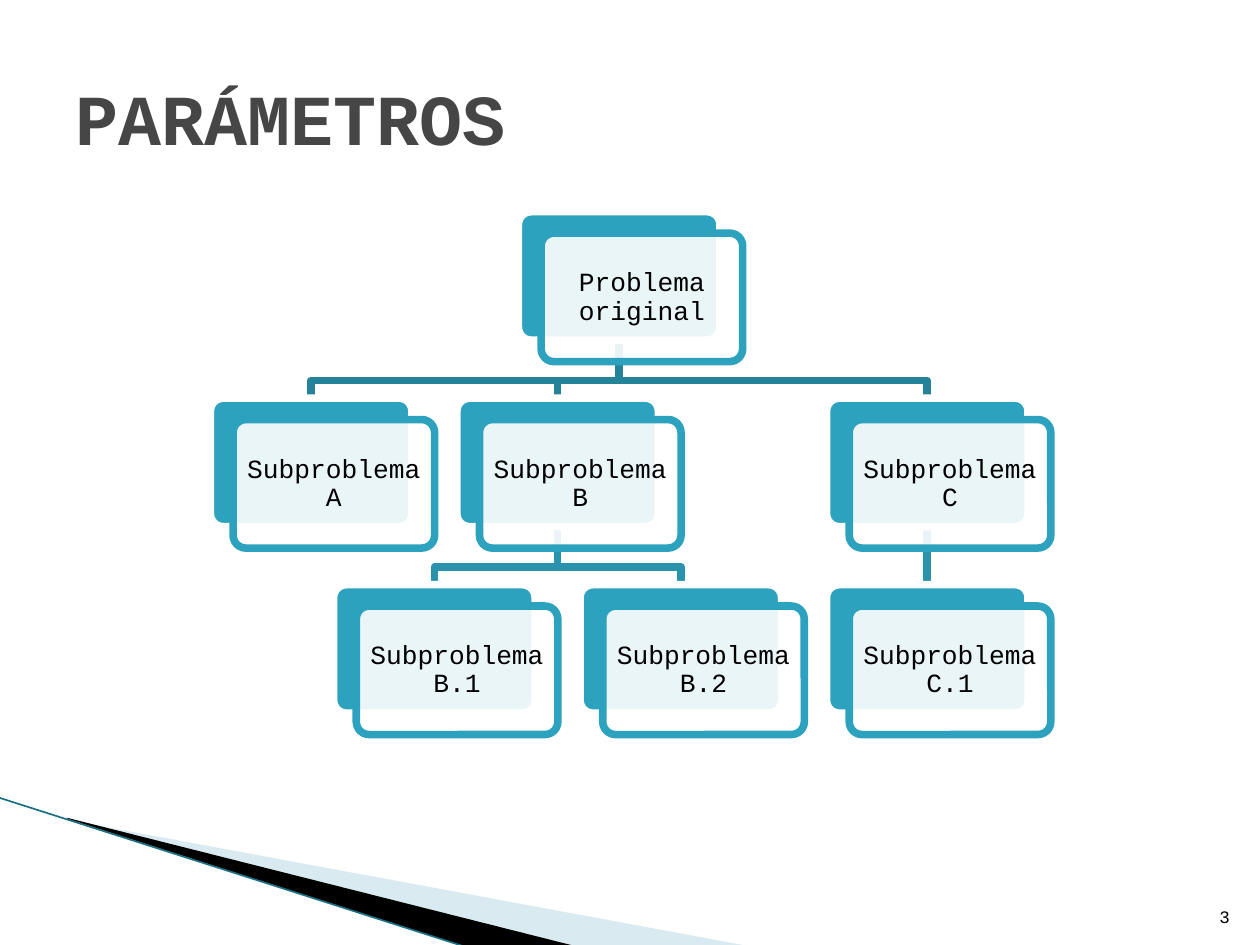
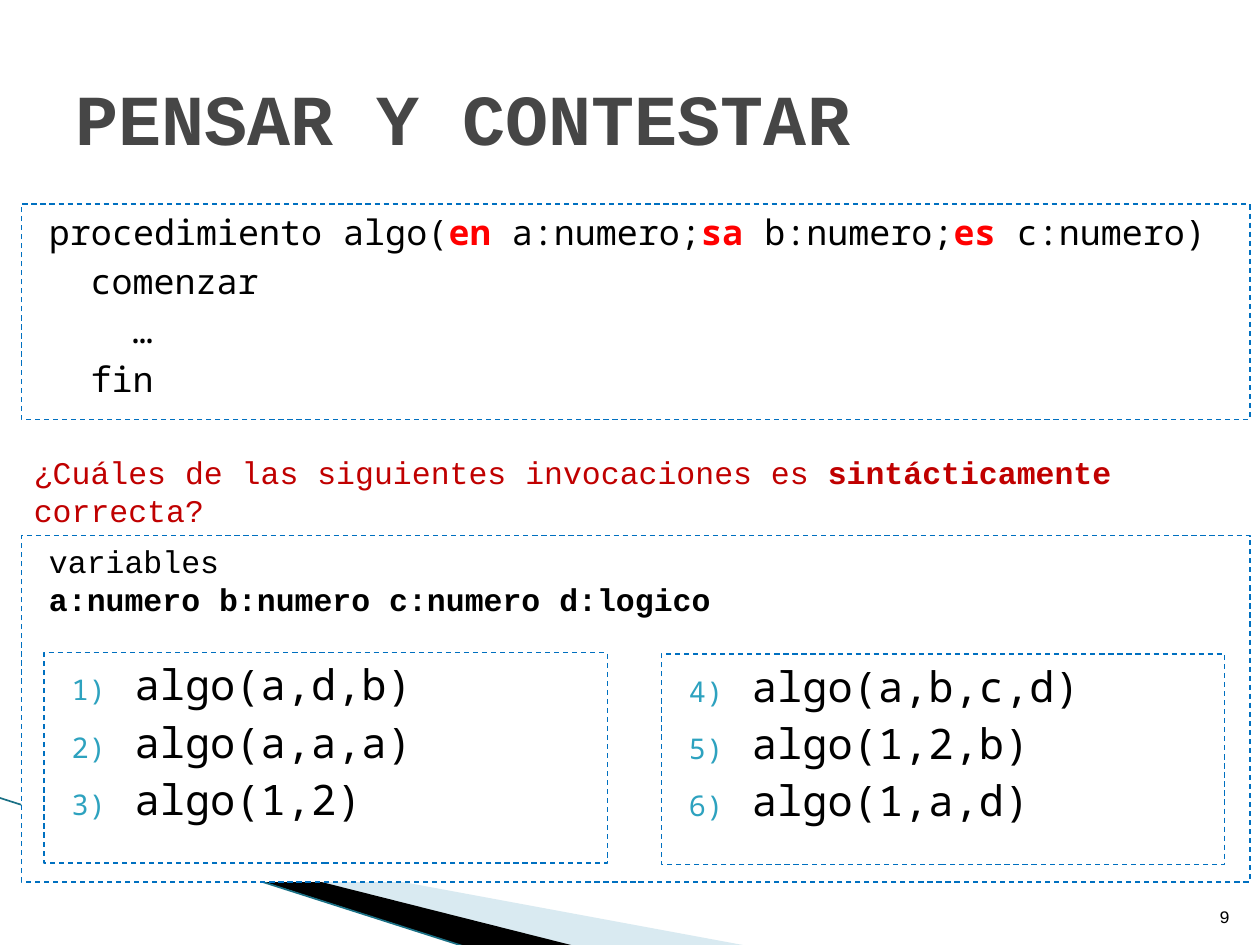
from lxml import etree
from pptx import Presentation
from pptx.dml.color import RGBColor
from pptx.enum.dml import MSO_LINE
from pptx.enum.shapes import MSO_CONNECTOR, MSO_SHAPE
from pptx.enum.text import MSO_ANCHOR, PP_ALIGN
from pptx.oxml.ns import qn
from pptx.util import Inches, Pt

RECT, ROUNDED = MSO_SHAPE.RECTANGLE, MSO_SHAPE.ROUNDED_RECTANGLE
TOP, MIDDLE, BOTTOM = MSO_ANCHOR.TOP, MSO_ANCHOR.MIDDLE, MSO_ANCHOR.BOTTOM
LEFT, CENTER, RIGHT = PP_ALIGN.LEFT, PP_ALIGN.CENTER, PP_ALIGN.RIGHT

# Content: a paragraph is a string or a list of (text, emphasis) runs
TREE_TITLE, TREE_PAGE = "PARÁMETROS", "3"
NODES = {  # name: (half-columns from the left, level, parent)
    "Problema original": (2.5, 0, None),
    "Subproblema A": (0, 1, "Problema original"),
    "Subproblema B": (2, 1, "Problema original"),
    "Subproblema B.1": (1, 2, "Subproblema B"),
    "Subproblema B.2": (3, 2, "Subproblema B"),
    "Subproblema C": (5, 1, "Problema original"),
    "Subproblema C.1": (5, 2, "Subproblema C"),
}

QUIZ_TITLE, QUIZ_PAGE = "PENSAR Y CONTESTAR", "9"
PROCEDURE = [  # (nesting depth, paragraph)
    (0, [("procedimiento algo(", None), ("en", "keyword"), (" a:numero;", None),
         ("sa", "keyword"), (" b:numero;", None), ("es", "keyword"),
         (" c:numero)", None)]),
    (1, "comenzar"),
    (2, "…"),
    (1, "fin"),
]
QUESTION = [("¿Cuáles de las siguientes invocaciones es ", None),
            ("sintácticamente", "strong"), (" correcta?", None)]
VARIABLES = ["variables", [("a:numero b:numero c:numero d:logico", "strong")]]
OPTIONS = [  # (left, top, first number, calls)
    (0.35, 5.18, 1, ["algo(a,d,b)", "algo(a,a,a)", "algo(1,2)"]),
    (5.25, 5.19, 4, ["algo(a,b,c,d)", "algo(1,2,b)", "algo(1,a,d)"]),
]


class Theme:
    text_font, code_font = "Courier New", "Noto Sans Mono"
    black, white, title = "000000", "FFFFFF", "464646"
    teal, root_link, link = "2DA2BF", "248299", "2993AD"
    band, band_edge = "A0CBDC", "1A7085"
    frame, keyword, question = "0070C0", "FF0000", "C00000"
    title_pt, option_pt, code_pt, body_pt, node_pt, page_pt = 41, 24, 20, 18, 15, 10
    node_line, frame_line, edge_line = 4.33, 0.75, 0.95


# Tree grid
NODE_W, NODE_H = 1.6, 1.02
TREE_LEFT, TREE_TOP = 1.67, 1.68
HALF_COL, ROW = 4.89 / 5, 1.48
FRAME_DX, FRAME_DY = 0.18, 0.17
ELBOW = 0.32
CODE_INDENT = 0.33


# Drawing helpers
def rgb(color):
    return RGBColor.from_string(color)


def paint(shape, fill=None, line=None, width=1, alpha=None):
    shape.shadow.inherit = False
    if fill:
        shape.fill.solid()
        shape.fill.fore_color.rgb = rgb(fill)
        if alpha:
            clr = shape.fill._xPr.find(".//" + qn("a:srgbClr"))
            etree.SubElement(clr, qn("a:alpha"), val=str(alpha * 1000))
    else:
        shape.fill.background()
    if line:
        shape.line.color.rgb = rgb(line)
        shape.line.width = Pt(width)
    else:
        shape.line.fill.background()


def add_box(s, kind, x, y, w, h, **style):
    sp = s.shapes.add_shape(kind, Inches(x), Inches(y), Inches(w), Inches(h))
    paint(sp, **style)
    return sp


def add_frame(s, x, y, w, h, fill=None):
    sp = add_box(s, RECT, x, y, w, h, fill=fill, line=Theme.frame,
                 width=Theme.frame_line)
    sp.line.dash_style = MSO_LINE.DASH
    return sp


def add_outline(s, points, close, **style):
    pts = [(Inches(x), Inches(y)) for x, y in points]
    builder = s.shapes.build_freeform(*pts[0])
    builder.add_line_segments(pts[1:], close=close)
    paint(builder.convert_to_shape(), **style)


def write(sp, paragraphs, size, color=Theme.black, font=Theme.text_font,
          align=LEFT, anchor=TOP, bold=False):
    tf = sp.text_frame
    tf.word_wrap = True
    tf.vertical_anchor = anchor
    for i, runs in enumerate(paragraphs):
        p = tf.add_paragraph() if i else tf.paragraphs[0]
        p.alignment = align
        p.font.name, p.font.size, p.font.bold = font, Pt(size), bold
        p.font.color.rgb = rgb(color)
        for text, emphasis in [(runs, None)] if isinstance(runs, str) else runs:
            r = p.add_run()
            r.text = text
            if emphasis:
                r.font.bold = True
            if emphasis == "keyword":
                r.font.color.rgb = rgb(Theme.keyword)
    return tf


def add_text(s, x, y, w, h, paragraphs, size, **style):
    tb = s.shapes.add_textbox(Inches(x), Inches(y), Inches(w), Inches(h))
    return write(tb, paragraphs, size, **style)


def indent(p, left, first=0):
    pPr = p._p.get_or_add_pPr()
    pPr.set("marL", str(Inches(left)))
    pPr.set("indent", str(Inches(first)))
    return pPr


def number(p, start):
    pPr = indent(p, 0.62, -0.5)
    color = etree.Element(qn("a:buClr"))
    etree.SubElement(color, qn("a:srgbClr"), val=Theme.teal)
    size = etree.Element(qn("a:buSzPct"), val="68000")
    auto = etree.Element(qn("a:buAutoNum"), type="arabicParenR", startAt=str(start))
    for mark in (color, size, auto):
        pPr.find(qn("a:defRPr")).addprevious(mark)


# Shared slide parts
def add_slide(prs, title, page):
    s = prs.slides.add_slide(prs.slide_layouts[6])
    add_outline(s, [(0.55, 6.51), (5.95, 7.51), (4.56, 7.51), (0.55, 6.5)], True,
                fill=Theme.band, alpha=40)
    add_outline(s, [(0.53, 6.49), (4.57, 7.51), (3.72, 7.52), (0.54, 6.5)], True,
                fill=Theme.black)
    edge = s.shapes.add_connector(MSO_CONNECTOR.STRAIGHT, Inches(-0.01), Inches(6.33),
                                  Inches(3.71), Inches(7.52))
    edge.line.color.rgb = rgb(Theme.band_edge)
    edge.line.width = Pt(Theme.edge_line)
    etree.SubElement(edge._element.spPr, qn("a:effectLst"))
    add_text(s, 9.46, 7.01, 0.4, 0.4, [page], Theme.page_pt, align=RIGHT, anchor=BOTTOM)
    add_text(s, 0.5, 0.3, 9, 1.25, [title], Theme.title_pt, color=Theme.title,
             anchor=MIDDLE, bold=True)
    return s


# Problem tree
def node_corner(name):
    col, level, _ = NODES[name]
    return TREE_LEFT + col * HALF_COL, TREE_TOP + level * ROW


def add_link(s, parent, child):
    (px, py), (cx, cy) = node_corner(parent), node_corner(child)
    px, cx, py = px + NODE_W / 2, cx + NODE_W / 2, py + NODE_H
    bend = py + ELBOW
    color = Theme.link if NODES[parent][1] else Theme.root_link
    points = [(px, py), (px, bend), (cx, bend), (cx, cy)]
    if px == cx:
        points = [points[0], points[-1]]
    add_outline(s, points, False, line=color, width=Theme.node_line)


def add_node(s, name):
    x, y = node_corner(name)
    back = add_box(s, ROUNDED, x, y, NODE_W, NODE_H, fill=Theme.teal,
                   line=Theme.white, width=Theme.node_line)
    front = add_box(s, ROUNDED, x + FRAME_DX, y + FRAME_DY, NODE_W, NODE_H,
                    fill=Theme.white, alpha=90, line=Theme.teal, width=Theme.node_line)
    back.adjustments[0] = front.adjustments[0] = 0.1
    tf = write(front, [name], Theme.node_pt, align=CENTER, anchor=MIDDLE)
    tf.margin_left = tf.margin_right = tf.margin_top = tf.margin_bottom = Inches(0.06)
    tf.paragraphs[0].line_spacing = 0.9


def build_tree(prs):
    s = add_slide(prs, TREE_TITLE, TREE_PAGE)
    for name, (_, _, parent) in NODES.items():
        if parent:
            add_link(s, parent, name)
    for name in NODES:
        add_node(s, name)


# Quiz
def build_quiz(prs):
    s = add_slide(prs, QUIZ_TITLE, QUIZ_PAGE)

    # Procedure heading
    tf = write(add_frame(s, 0.17, 1.62, 9.75, 1.71), [text for _, text in PROCEDURE],
               Theme.code_pt, font=Theme.code_font)
    for p, (depth, _) in zip(tf.paragraphs, PROCEDURE):
        p.space_before = Pt(4)
        indent(p, 0.12 + depth * CODE_INDENT)

    # Declared variables and question
    tf = write(add_frame(s, 0.17, 4.25, 9.75, 2.75, fill=Theme.white), VARIABLES,
               Theme.body_pt)
    tf.paragraphs[0].space_before = Pt(4)
    for p in tf.paragraphs:
        indent(p, 0.12)
    add_text(s, 0.17, 3.55, 9.75, 0.4, [QUESTION], Theme.body_pt, color=Theme.question)

    # Numbered calls
    for x, y, start, calls in OPTIONS:
        tf = write(add_frame(s, x, y, 4.47, 1.67), calls, Theme.option_pt,
                   font=Theme.code_font)
        for p in tf.paragraphs:
            p.space_before = Pt(4)
            number(p, start)


def main():
    prs = Presentation()
    prs.slide_width, prs.slide_height = Inches(10), Inches(7.5)
    build_tree(prs)
    build_quiz(prs)
    prs.save("out.pptx")


if __name__ == "__main__":
    main()
